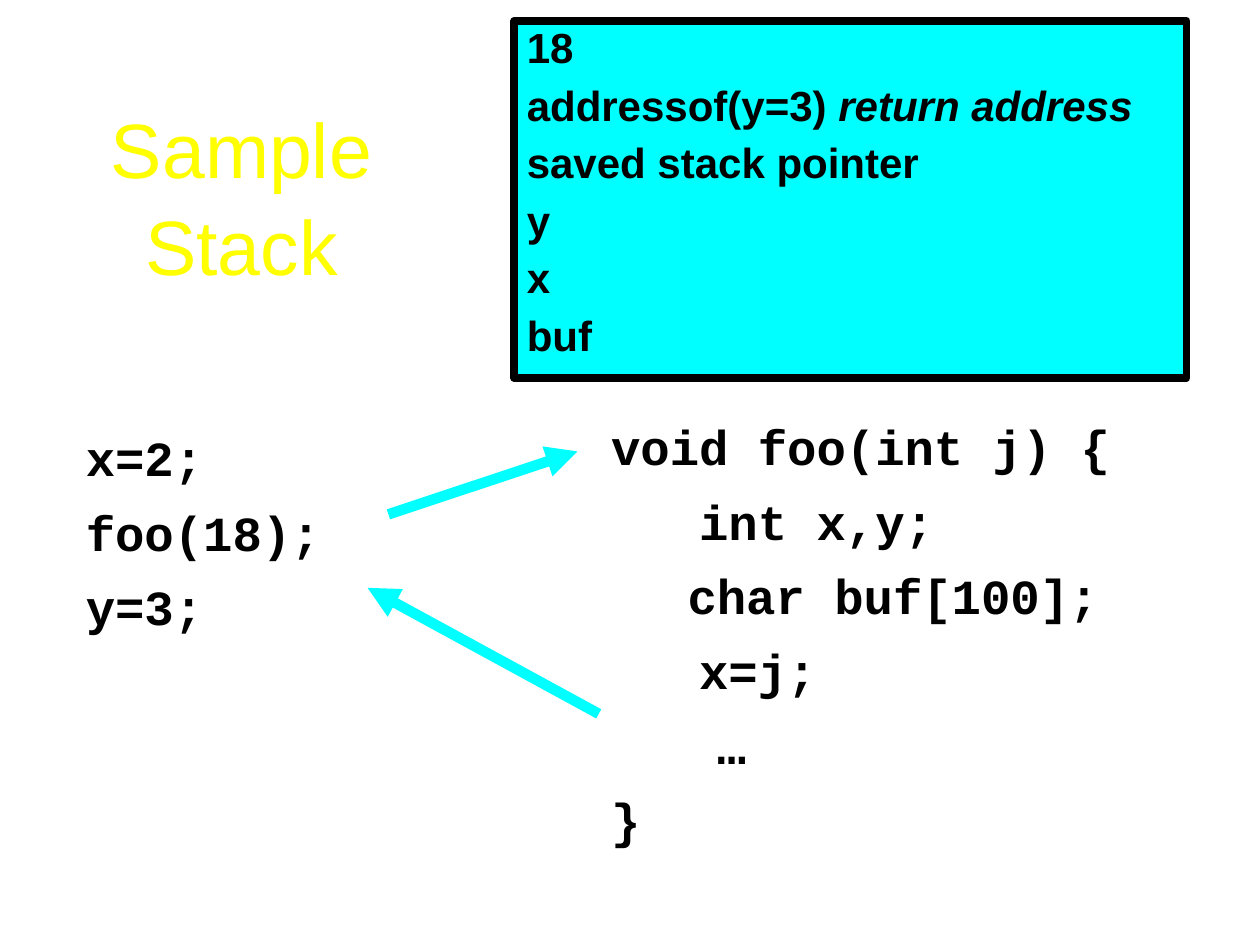
from lxml import etree
from pptx import Presentation
from pptx.dml.color import RGBColor
from pptx.enum.shapes import MSO_CONNECTOR, MSO_SHAPE
from pptx.enum.text import MSO_ANCHOR, PP_ALIGN
from pptx.oxml.ns import qn
from pptx.util import Cm, Pt

RECTANGLE = MSO_SHAPE.RECTANGLE
STRAIGHT = MSO_CONNECTOR.STRAIGHT
TOP, MIDDLE = MSO_ANCHOR.TOP, MSO_ANCHOR.MIDDLE
LEFT, CENTER = PP_ALIGN.LEFT, PP_ALIGN.CENTER
TITLE_ONLY = 5
COLORS = {"title": "FFFF00", "accent": "00FFFF", "text": "000000", "paper": "FFFFFF"}
STACK = [
    [("18", False)],
    [("addressof(y=3) ", False), ("return address", True)],
    [("saved stack pointer", False)],
    [("y", False)],
    [("x", False)],
    [("buf", False)],
]
CALLER = ["x=2;", "foo(18);", "y=3;"]
FUNCTION = ["void foo(int j) {", "   int x,y;", "\t char buf[100];", "   x=j;", "\t  …", "}"]


def color(name):
    """Return the named colour."""
    return RGBColor.from_string(COLORS[name])


def set_frame(text_frame, anchor, top_inset=0.13):
    """Set wrapping, anchor and insets of a text frame."""
    text_frame.word_wrap = True
    text_frame.vertical_anchor = anchor
    text_frame.margin_left = text_frame.margin_right = Cm(0.25)
    text_frame.margin_top, text_frame.margin_bottom = Cm(top_inset), Cm(0.13)


def add_run(paragraph, text, font, size, color_name, bold=True, italic=False):
    """Add one formatted run."""
    run = paragraph.add_run()
    run.text = text
    run.font.name, run.font.size = font, Pt(size)
    run.font.bold, run.font.italic = bold, italic
    run.font.color.rgb = color(color_name)


def add_title(slide, words):
    """Place the title with one word on each line."""
    title = slide.shapes.title
    title.left, title.top, title.width, title.height = Cm(0.85), Cm(1.69), Cm(8.04), Cm(4.45)
    set_frame(title.text_frame, MIDDLE)
    paragraph = title.text_frame.paragraphs[0]
    paragraph.alignment = CENTER
    paragraph.line_spacing = 1.05
    for index, word in enumerate(words):
        if index:
            paragraph.add_line_break()
        add_run(paragraph, word, "Arial", 44, "title", bold=False)


def add_box(slide, bounds, fill, lines, font, size, gap, spacing=1.0, top_inset=0.13):
    """Add a filled rectangle holding hanging lines of (text, italic) runs."""
    box = slide.shapes.add_shape(RECTANGLE, *map(Cm, bounds))
    box.shadow.inherit = False
    box.fill.solid()
    box.fill.fore_color.rgb = color(fill)
    box.line.fill.background()
    text_frame = box.text_frame
    set_frame(text_frame, TOP, top_inset)
    for index, runs in enumerate(lines):
        paragraph = text_frame.add_paragraph() if index else text_frame.paragraphs[0]
        paragraph.alignment = LEFT
        paragraph.line_spacing = spacing
        paragraph.space_before = Pt(gap if index else 0)
        properties = paragraph._p.get_or_add_pPr()
        properties.set("marL", str(Cm(0.95)))
        properties.set("indent", str(-Cm(0.95)))
        for text, italic in runs:
            add_run(paragraph, text, font, size, "text", italic=italic)
    return box


def add_stack(slide):
    """Add the framed list of stack entries."""
    box = add_box(slide, (10.37, 0.42, 13.55, 7.2), "accent", STACK, "Arial", 24, 7, 0.9)
    box.line.color.rgb = color("text")
    box.line.width = Pt(4.5)


def add_code(slide, bounds, lines):
    """Add a block of source code."""
    runs = [[(line, False)] for line in lines]
    add_box(slide, bounds, "paper", runs, "Courier New", 28, 9, top_inset=0.36)


def add_arrow(slide, start, end):
    """Add a thick arrow pointing at its end."""
    arrow = slide.shapes.add_connector(STRAIGHT, *map(Cm, start + end))
    arrow.line.color.rgb = color("accent")
    arrow.line.width = Pt(6)
    etree.SubElement(arrow.line._get_or_add_ln(), qn("a:tailEnd"), type="triangle")
    etree.SubElement(arrow._element.spPr, qn("a:effectLst"))


def main():
    """Build and save the slide."""
    presentation = Presentation()
    presentation.slide_width, presentation.slide_height = Cm(25.4), Cm(19.05)
    slide = presentation.slides.add_slide(presentation.slide_layouts[TITLE_ONLY])
    add_title(slide, ["Sample", "Stack"])
    add_stack(slide)
    add_code(slide, (1.48, 8.26, 7.41, 6.14), CALLER)
    add_code(slide, (12.07, 8.04, 11.85, 9.1), FUNCTION)
    add_arrow(slide, (7.83, 10.37), (11.64, 9.1))
    add_arrow(slide, (12.07, 14.39), (7.41, 11.85))
    presentation.save("out.pptx")


if __name__ == "__main__":
    main()
